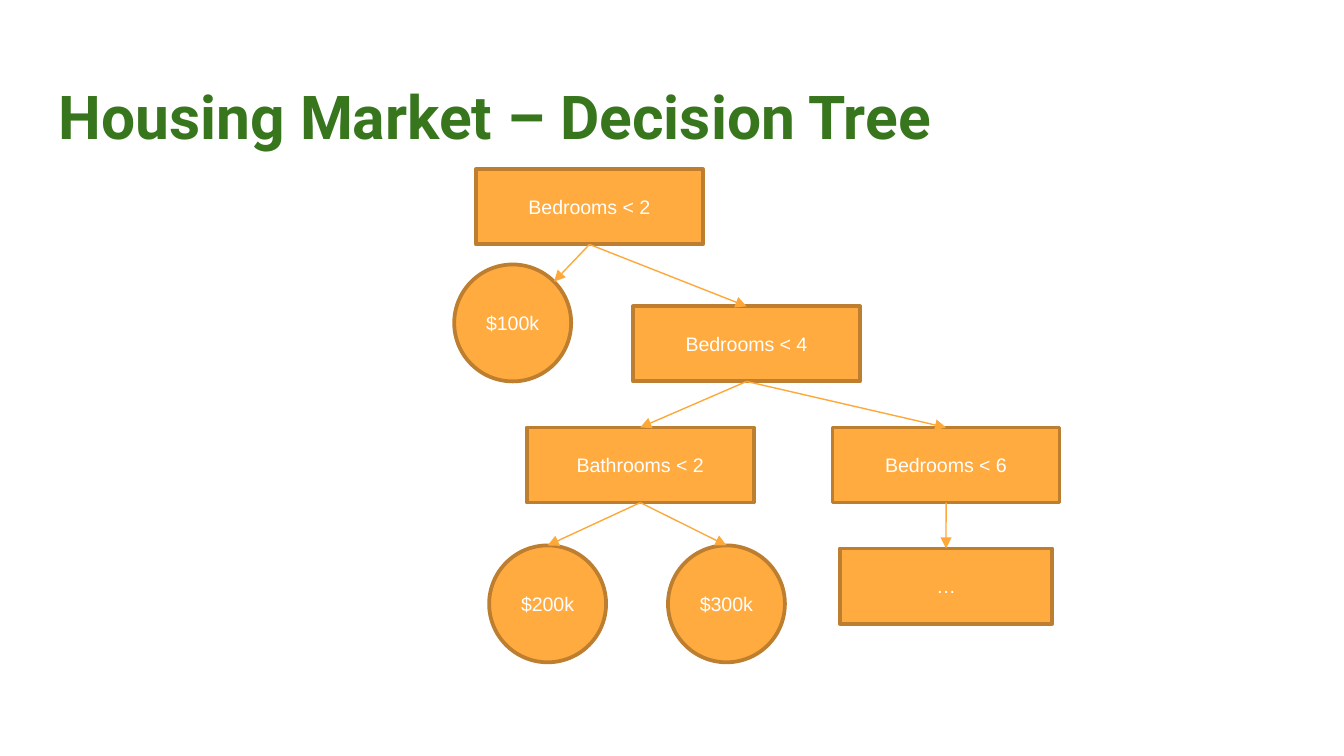
from math import sqrt

from lxml.etree import SubElement
from pptx import Presentation
from pptx.dml.color import RGBColor
from pptx.enum.shapes import MSO_CONNECTOR, MSO_SHAPE
from pptx.enum.text import MSO_ANCHOR, MSO_AUTO_SIZE, PP_ALIGN
from pptx.oxml.ns import qn
from pptx.util import Cm, Pt

GREEN = RGBColor(0x38, 0x76, 0x1D)
ORANGE = RGBColor(0xFF, 0xAB, 0x40)
BROWN = RGBColor(0xBD, 0x7F, 0x2F)
ARROW_ORANGE = RGBColor(0xFE, 0xA8, 0x3A)
WHITE = RGBColor(0xFF, 0xFF, 0xFF)

BOX_WIDTH = 4.29
BOX_HEIGHT = 1.42
CIRCLE_SIZE = 2.21
TOP, BOTTOM = 0, 2


class TreeSlide:
    title_font = "Roboto"
    node_font = "Arial"

    def __init__(self, deck):
        self.slide = deck.slides.add_slide(deck.slide_layouts[5])

    def title(self, text):
        title = self.slide.shapes.title
        title.left, title.top = Cm(0.86), Cm(1.24)
        title.width, title.height = Cm(23.67), Cm(1.6)
        frame = title.text_frame
        frame.text = text
        frame.word_wrap = True
        frame.auto_size = MSO_AUTO_SIZE.NONE
        frame.vertical_anchor = MSO_ANCHOR.TOP
        frame.margin_left = frame.margin_right = Cm(0.25)
        frame.margin_top = frame.margin_bottom = Cm(0.25)
        para = frame.paragraphs[0]
        para.alignment = PP_ALIGN.LEFT
        self.format_font(para.runs[0].font, self.title_font, 32.4, GREEN)
        para.runs[0].font.bold = True

    def format_font(self, font, name, size, color):
        font.name = name
        font.size = Pt(size)
        font.color.rgb = color

    def node(self, kind, text, center, top, width, height):
        node = self.slide.shapes.add_shape(
            kind, Cm(center - width / 2), Cm(top), Cm(width), Cm(height))
        node.shadow.inherit = False
        node.fill.solid()
        node.fill.fore_color.rgb = ORANGE
        node.line.color.rgb = BROWN
        node.line.width = Pt(2)
        frame = node.text_frame
        frame.text = text
        frame.vertical_anchor = MSO_ANCHOR.MIDDLE
        para = frame.paragraphs[0]
        para.alignment = PP_ALIGN.CENTER
        self.format_font(para.runs[0].font, self.node_font, 10.5, WHITE)
        return node

    def decision(self, text, center, top, width=BOX_WIDTH):
        return self.node(MSO_SHAPE.RECTANGLE, text, center, top, width, BOX_HEIGHT)

    def price(self, text, center, top):
        return self.node(MSO_SHAPE.OVAL, text, center, top, CIRCLE_SIZE, CIRCLE_SIZE)

    def arrow(self, parent, child, to_upper_right=False):
        radius = child.width / 2
        offset = radius / sqrt(2)
        end_x = int(child.left + radius + offset)
        end_y = int(child.top + radius - offset)
        arrow = self.slide.shapes.add_connector(
            MSO_CONNECTOR.STRAIGHT, parent.left, parent.top, end_x, end_y)
        arrow.begin_connect(parent, BOTTOM)
        if not to_upper_right:
            arrow.end_connect(child, TOP)
        arrow.line.color.rgb = ARROW_ORANGE
        arrow.line.width = Pt(0.75)
        SubElement(arrow.line._get_or_add_ln(), qn("a:tailEnd"), type="triangle")
        SubElement(arrow._element.spPr, qn("a:effectLst"))


def main():
    deck = Presentation()
    deck.slide_width, deck.slide_height = Cm(25.4), Cm(14.29)
    page = TreeSlide(deck)
    page.title("Housing Market – Decision Tree")

    under_two = page.decision("Bedrooms < 2", 11.14, 3.2)
    under_four = page.decision("Bedrooms < 4", 14.11, 5.79)
    bathrooms = page.decision("Bathrooms < 2", 12.1, 8.08)
    under_six = page.decision("Bedrooms < 6", 17.88, 8.08)
    more = page.decision("…", 17.88, 10.37, 4.02)
    low_price = page.price("$100k", 9.69, 5)
    middle_price = page.price("$200k", 10.35, 10.31)
    high_price = page.price("$300k", 13.73, 10.31)

    page.arrow(under_two, low_price, to_upper_right=True)
    for parent, child in (
        (under_two, under_four),
        (under_four, bathrooms),
        (under_four, under_six),
        (bathrooms, middle_price),
        (bathrooms, high_price),
        (under_six, more),
    ):
        page.arrow(parent, child)

    deck.save("out.pptx")


if __name__ == "__main__":
    main()
